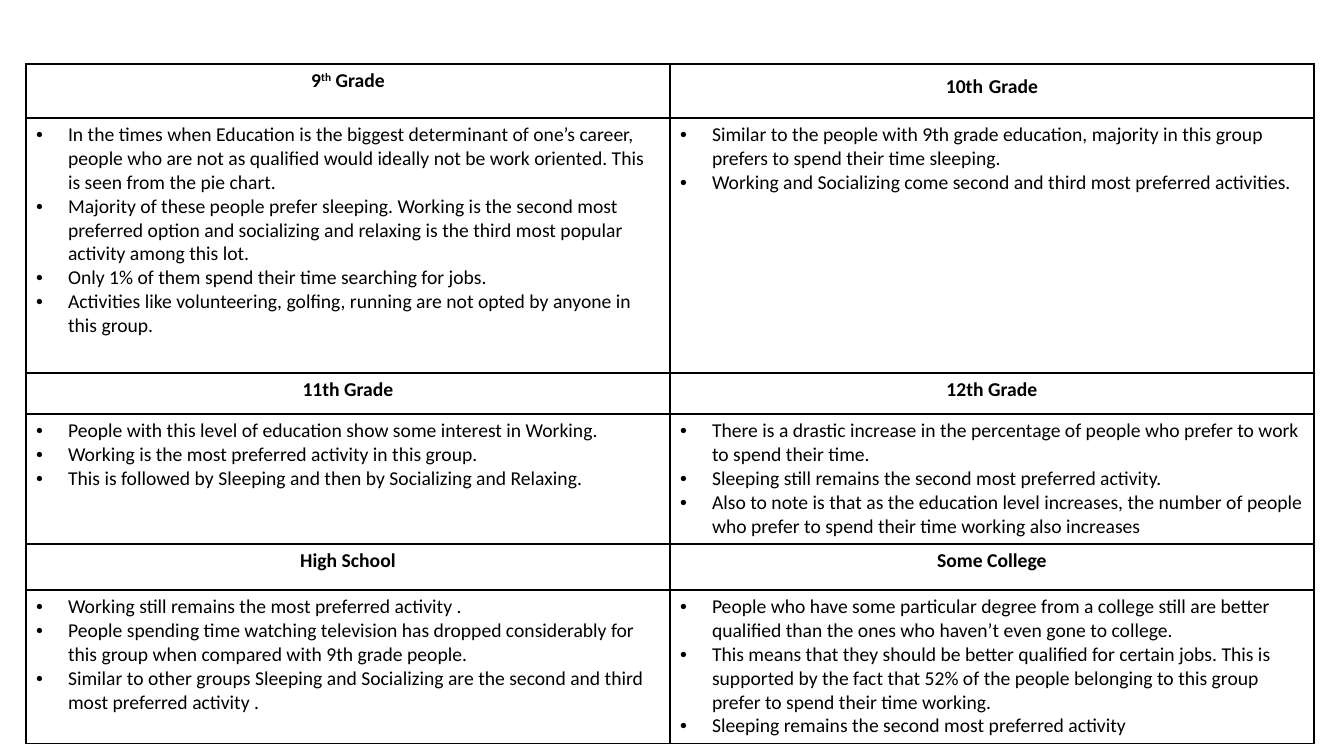
from dataclasses import dataclass

from lxml.etree import SubElement
from pptx import Presentation
from pptx.dml.color import RGBColor
from pptx.enum.text import PP_ALIGN as Align
from pptx.oxml.ns import qn
from pptx.table import _Cell as Cell
from pptx.text.text import _Paragraph as Paragraph
from pptx.util import Emu, Pt

EMU_PER_PX = 914400 / 100.8
COLORS = {"text": "000000", "border": "000000", "cell": "FFFFFF"}
FONT_NAME = "Calibri"
FONT_SIZE = 14
INDENT = 32
TABLE_LEFT, TABLE_TOP, COLUMN_WIDTH = 26, 64, 644
ROW_HEIGHTS = [54, 255, 41, 130, 46, 153]
COLUMN_COUNT = 2


@dataclass(frozen=True)
class HeadingRun:
    text: str
    size: int = FONT_SIZE
    superscript: bool = False


@dataclass(frozen=True)
class Group:
    heading: list[HeadingRun]
    findings: list[str]


GROUPS = [
    Group(
        [HeadingRun("9"), HeadingRun("th", superscript=True), HeadingRun(" Grade")],
        [
            "In the times when Education is the biggest determinant of one’s career, people who are "
            "not as qualified would ideally not be work oriented. This is seen from the pie chart.",
            "Majority of these people prefer sleeping. Working is the second most preferred option "
            "and socializing and relaxing is the third most popular activity among this lot.",
            "Only 1% of them spend their time searching for jobs.",
            "Activities like volunteering, golfing, running are not opted by anyone in this group.",
        ],
    ),
    Group(
        [HeadingRun("10th"), HeadingRun(" ", size=18), HeadingRun("Grade")],
        [
            "Similar to the people with 9th grade education, majority in this group prefers to "
            "spend their time sleeping.",
            "Working and Socializing come second and third most preferred activities.",
        ],
    ),
    Group(
        [HeadingRun("11th Grade")],
        [
            "People with this level of education show some interest in Working.",
            "Working is the most preferred activity in this group.",
            "This is followed by Sleeping and then by Socializing and Relaxing.",
        ],
    ),
    Group(
        [HeadingRun("12th Grade")],
        [
            "There is a drastic increase in the percentage of people who prefer to work to spend "
            "their time.",
            "Sleeping still remains the second most preferred activity.",
            "Also to note is that as the education level increases, the number of people who "
            "prefer to spend their time working also increases",
        ],
    ),
    Group(
        [HeadingRun("High School")],
        [
            "Working still remains the most preferred activity .",
            "People spending time watching television has dropped considerably for this group when "
            "compared with 9th grade people.",
            "Similar to other groups Sleeping and Socializing are the second and third most "
            "preferred activity .",
        ],
    ),
    Group(
        [HeadingRun("Some College")],
        [
            "People who have some particular degree from a college still are better qualified than "
            "the ones who haven’t even gone to college.",
            "This means that they should be better qualified for certain jobs. This is supported by "
            "the fact that 52% of the people belonging to this group prefer to spend their time "
            "working.",
            "Sleeping remains the second most preferred activity",
        ],
    ),
]


def px(length: int) -> Emu:
    return Emu(round(length * EMU_PER_PX))


def color(name: str) -> RGBColor:
    return RGBColor.from_string(COLORS[name])


def format_cell(cell: Cell) -> None:
    properties = cell._tc.get_or_add_tcPr()
    for side in ("lnL", "lnR", "lnT", "lnB"):
        line = SubElement(properties, qn(f"a:{side}"), w=str(Pt(1)))
        fill = SubElement(line, qn("a:solidFill"))
        SubElement(fill, qn("a:srgbClr"), val=COLORS["border"])
    cell.fill.solid()
    cell.fill.fore_color.rgb = color("cell")


def format_paragraph(paragraph: Paragraph, bold: bool) -> None:
    font = paragraph.font
    font.name = FONT_NAME
    font.size = Pt(FONT_SIZE)
    font.bold = bold
    font.color.rgb = color("text")


def write_heading(cell: Cell, heading: list[HeadingRun]) -> None:
    paragraph = cell.text_frame.paragraphs[0]
    paragraph.alignment = Align.CENTER
    format_paragraph(paragraph, bold=True)
    for part in heading:
        run = paragraph.add_run()
        run.text = part.text
        if part.size != FONT_SIZE:
            run.font.size = Pt(part.size)
        if part.superscript:
            run._r.get_or_add_rPr().set("baseline", "30000")


def write_findings(cell: Cell, findings: list[str]) -> None:
    cell.text_frame.text = "\n".join(findings)
    for paragraph in cell.text_frame.paragraphs:
        properties = paragraph._p.get_or_add_pPr()
        properties.set("marL", str(px(INDENT)))
        properties.set("indent", str(-px(INDENT)))
        SubElement(properties, qn("a:buFont"), typeface="Arial")
        SubElement(properties, qn("a:buChar"), char="•")
        format_paragraph(paragraph, bold=False)


def main() -> None:
    presentation = Presentation()
    presentation.slide_width, presentation.slide_height = px(1344), px(756)
    slide = presentation.slides.add_slide(presentation.slide_layouts.get_by_name("Blank"))
    table = slide.shapes.add_table(
        len(ROW_HEIGHTS), COLUMN_COUNT, px(TABLE_LEFT), px(TABLE_TOP),
        px(COLUMN_WIDTH * COLUMN_COUNT), px(sum(ROW_HEIGHTS)),
    ).table
    table.first_row = table.horz_banding = False
    for row, height in zip(table.rows, ROW_HEIGHTS):
        row.height = px(height)
    for cell in table.iter_cells():
        format_cell(cell)
    for index, group in enumerate(GROUPS):
        band, column = divmod(index, COLUMN_COUNT)
        write_heading(table.cell(2 * band, column), group.heading)
        write_findings(table.cell(2 * band + 1, column), group.findings)
    presentation.save("out.pptx")


if __name__ == "__main__":
    main()
